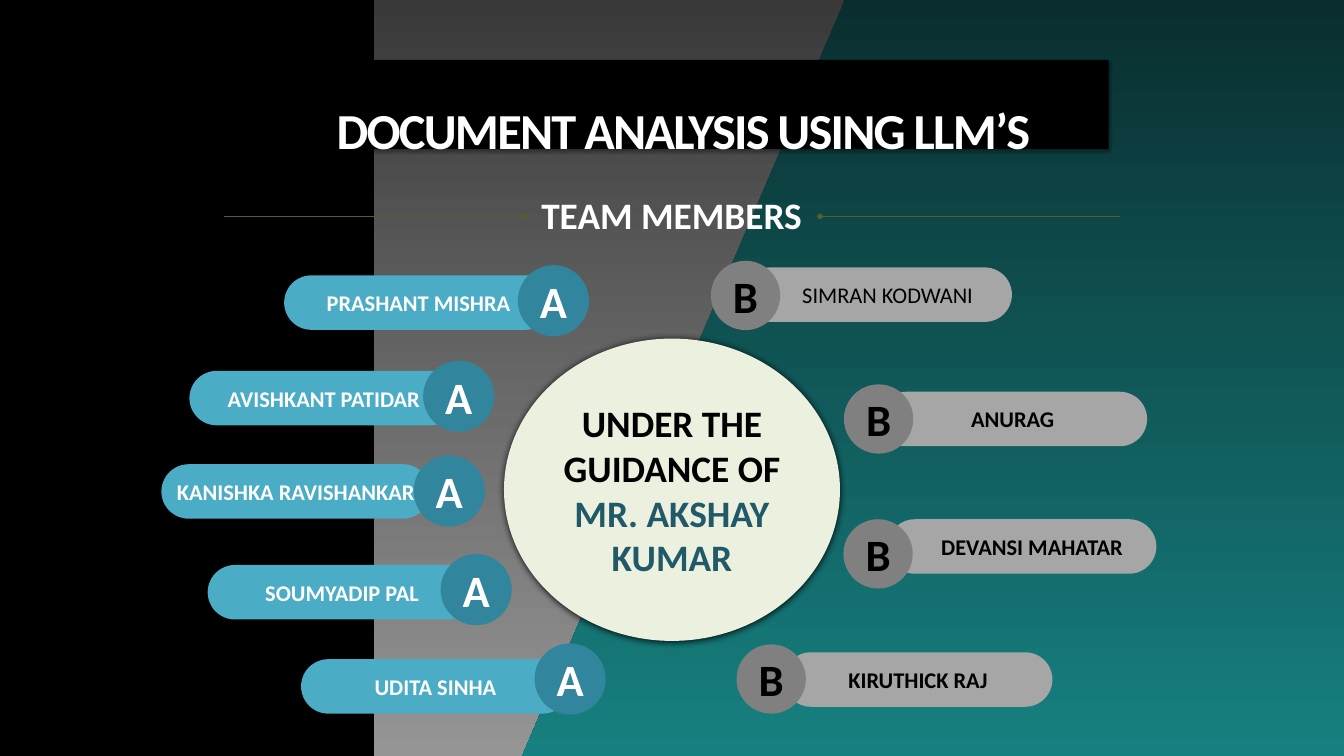
from dataclasses import dataclass

from lxml.etree import SubElement
from pptx import Presentation
from pptx.dml.color import RGBColor
from pptx.enum.shapes import MSO_CONNECTOR, MSO_SHAPE
from pptx.enum.text import MSO_ANCHOR, PP_ALIGN
from pptx.oxml.ns import qn
from pptx.util import Cm, Pt


@dataclass(frozen=True)
class Theme:
    """Colours, type sizes and font of the slide."""
    font: str = "Calibri"
    black: str = "000000"
    white: str = "FFFFFF"
    cream: str = "EBF1DE"
    guide: str = "215968"
    rule: str = "4F6228"
    grey_slice: tuple = ("393939", "959595")
    teal_slice: tuple = ("0A2E2F", "178080")
    pill_a: str = "4BACC6"
    badge_a: str = "31859C"
    pill_b: str = "A6A6A6"
    badge_b: str = "808080"
    title: float = 54
    heading: float = 40
    badge: float = 48
    name: float = 24


class SlideBuilder:
    """Draws styled elements on the current slide."""

    def __init__(self, page, theme):
        """Keep the slide and its theme."""
        self.page = page
        self.theme = theme

    def slice(self, points, colours):
        """Draw a polygon with a vertical gradient."""
        start, *others = [(Cm(x), Cm(y)) for x, y in points]
        builder = self.page.shapes.build_freeform(*start)
        builder.add_line_segments(others, close=True)
        shape = builder.convert_to_shape()
        shape.shadow.inherit = False
        shape.line.fill.background()
        shape.fill.gradient()
        shape.fill.gradient_angle = 270
        for stop, colour in zip(shape.fill.gradient_stops, colours):
            stop.color.rgb = RGBColor.from_string(colour)

    def shape(self, kind, left, top, width, height, fill, outline=None):
        """Draw a preset shape with a plain fill."""
        shape = self.page.shapes.add_shape(kind, Cm(left), Cm(top), Cm(width), Cm(height))
        shape.shadow.inherit = False
        shape.fill.solid()
        shape.fill.fore_color.rgb = RGBColor.from_string(fill)
        if outline:
            shape.line.color.rgb = RGBColor.from_string(outline)
            shape.line.width = Pt(2)
        else:
            shape.line.fill.background()
        return shape

    def shadow(self, shape, opacity, blur, distance):
        """Give a shape a black shadow that falls straight down."""
        effects = shape._element.spPr.find(qn("a:effectLst"))
        outer = SubElement(effects, qn("a:outerShdw"), blurRad=str(Pt(blur)),
                           dist=str(Pt(distance)), dir="5400000", rotWithShape="0")
        colour = SubElement(outer, qn("a:srgbClr"), val=self.theme.black)
        SubElement(colour, qn("a:alpha"), val=str(opacity * 1000))

    def text(self, box, spans, size, colour, bold=True, anchor=MSO_ANCHOR.MIDDLE):
        """Write one centred paragraph into a box and return it."""
        frame = box.text_frame
        frame.word_wrap = True
        frame.vertical_anchor = anchor
        para = frame.paragraphs[0]
        para.alignment = PP_ALIGN.CENTER
        para.font.name = self.theme.font
        para.font.size = Pt(size)
        para.font.bold = bold
        para.font.color.rgb = RGBColor.from_string(colour)
        for words in spans:
            para.add_run().text = words
        return para

    def clear_margins(self, box):
        """Remove the inner margins of a box."""
        frame = box.text_frame
        frame.margin_left = frame.margin_right = frame.margin_top = frame.margin_bottom = 0

    def title(self, words):
        """Draw the title on its dark band."""
        band = self.shape(MSO_SHAPE.RECTANGLE, 9.75, 2.26, 32.16, 3.38, self.theme.black)
        self.shadow(band, 32, 3.5, 2.2)
        self.clear_margins(band)
        para = self.text(band, [words], self.theme.title, self.theme.white, anchor=MSO_ANCHOR.TOP)
        para.line_spacing = Pt(107.2)
        para.runs[0]._r.get_or_add_rPr().set("spc", "-190")

    def heading(self, words):
        """Write the heading between the two rules."""
        box = self.page.shapes.add_textbox(Cm(9.09), Cm(7.26), Cm(32.59), Cm(3.43))
        self.clear_margins(box)
        self.text(box, [words], self.theme.heading, self.theme.white, anchor=MSO_ANCHOR.TOP)

    def rule(self, start, end, top, dotted_end):
        """Draw a thin horizontal rule with a dot at one end."""
        rule = self.page.shapes.add_connector(
            MSO_CONNECTOR.STRAIGHT, Cm(start), Cm(top), Cm(end), Cm(top))
        rule.line.color.rgb = RGBColor.from_string(self.theme.rule)
        rule.line.width = Pt(0.75)
        SubElement(rule.line._get_or_add_ln(), qn(f"a:{dotted_end}"), type="oval")
        SubElement(rule._element.spPr, qn("a:effectLst"))

    def guidance(self, role, person):
        """Draw the central ellipse that names the guide."""
        ellipse = self.shape(MSO_SHAPE.OVAL, 19.05, 12.8, 12.7, 11.43, self.theme.cream)
        self.shadow(ellipse, 100, 8.5, 1)
        para = self.text(ellipse, [role, person], self.theme.heading, self.theme.black)
        para.runs[1].font.color.rgb = RGBColor.from_string(self.theme.guide)

    def pill(self, name, left, top, fill, colour, bold=True, indent=0):
        """Draw a rounded name plate."""
        pill = self.shape(MSO_SHAPE.ROUNDED_RECTANGLE, left, top, 10.16, 2.06, fill)
        pill.adjustments[0] = 0.5
        pill.text_frame.margin_left = Cm(0.25 + indent)
        self.text(pill, [name], self.theme.name, colour, bold)

    def badge(self, letter, left, top, fill, colour, outline=None):
        """Draw a round group badge."""
        badge = self.shape(MSO_SHAPE.OVAL, left, top, 2.62, 2.62, fill, outline)
        self.text(badge, [letter], self.theme.badge, colour)


GROUP_A = [
    ("PRASHANT MISHRA", (10.74, 10.41), (19.61, 10.06)),
    ("AVISHKANT PATIDAR", (7.16, 14.02), (16.03, 13.67)),
    ("KANISHKA RAVISHANKAR", (6.1, 17.55), (15.67, 17.25)),
    ("SOUMYADIP PAL", (7.85, 21.36), (16.69, 20.98)),
    ("UDITA SINHA", (11.38, 24.92), (20.24, 24.36)),
]
GROUP_B = [
    ("SIMRAN KODWANI", (28.09, 10.11), (26.87, 9.86), False, 0.76),
    ("ANURAG", (33.2, 14.81), (31.9, 14.53), True, 0),
    ("DEVANSI MAHATAR", (33.55, 19.63), (31.88, 19.63), True, 0.76),
    ("KIRUTHICK RAJ", (29.62, 24.66), (27.84, 24.36), True, 0),
]
WIDTH, HEIGHT = 50.8, 28.58


def main():
    """Build the team slide and save it."""
    deck = Presentation()
    deck.slide_width, deck.slide_height = Cm(WIDTH), Cm(HEIGHT)
    theme = Theme()
    builder = SlideBuilder(deck.slides.add_slide(deck.slide_layouts[6]), theme)

    edge_top, edge_bottom = (31.93, 0), (19.74, HEIGHT)
    builder.shape(MSO_SHAPE.RECTANGLE, 0, 0, WIDTH, HEIGHT, theme.black)
    builder.slice([(14.14, 0), edge_top, edge_bottom, (14.14, HEIGHT)], theme.grey_slice)
    builder.slice([edge_top, (WIDTH, 0), (WIDTH, HEIGHT), edge_bottom], theme.teal_slice)

    builder.title("DOCUMENT ANALYSIS USING LLM’S")
    builder.rule(30.99, 42.34, 8.18, "headEnd")
    builder.heading("TEAM MEMBERS")
    builder.rule(8.46, 19.81, 8.18, "tailEnd")
    builder.guidance("UNDER THE GUIDANCE OF ", "MR. AKSHAY KUMAR")

    for name, pill, badge in GROUP_A:
        builder.pill(name, *pill, theme.pill_a, theme.white)
        builder.badge("A", *badge, theme.badge_a, theme.white, theme.badge_a)
    for name, pill, badge, bold, indent in GROUP_B:
        builder.pill(name, *pill, theme.pill_b, theme.black, bold, indent)
        builder.badge("B", *badge, theme.badge_b, theme.black)

    deck.save("out.pptx")


if __name__ == "__main__":
    main()
